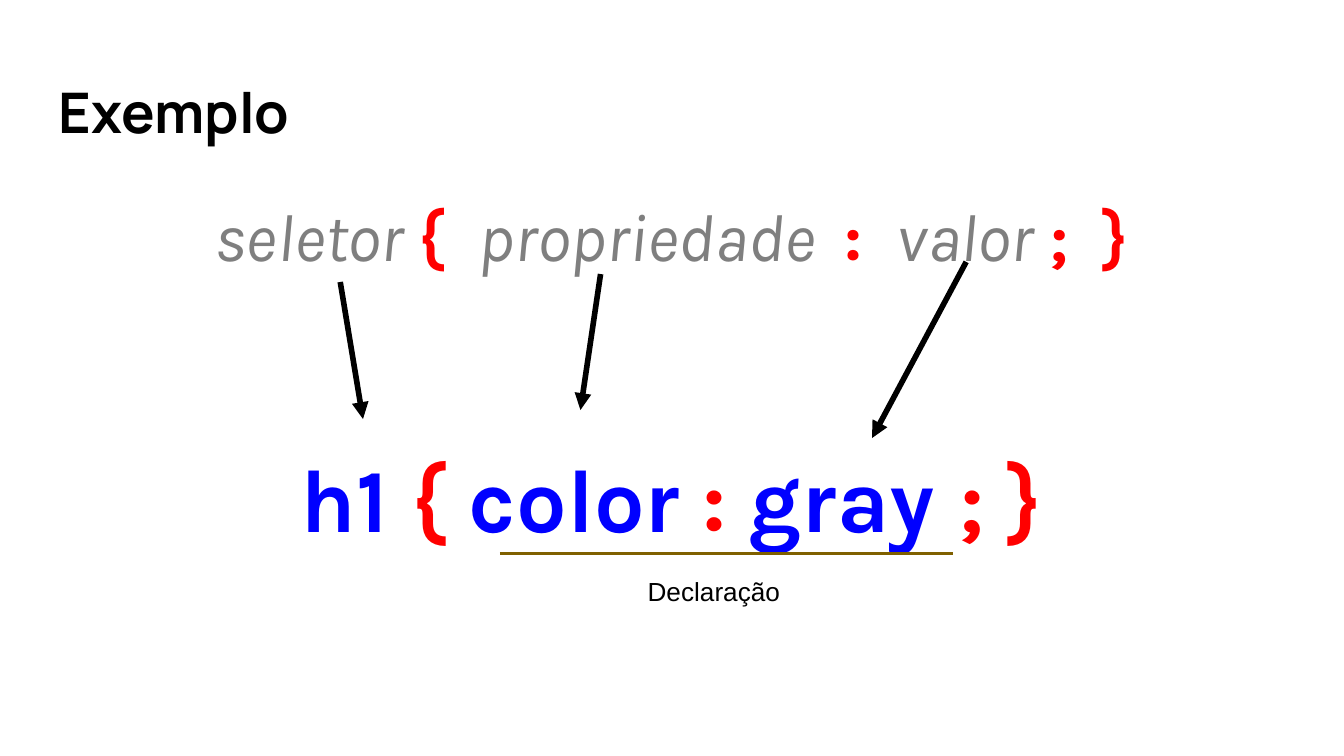
from lxml.etree import SubElement
from pptx import Presentation
from pptx.dml.color import RGBColor
from pptx.enum.shapes import MSO_CONNECTOR as Connector
from pptx.enum.text import MSO_ANCHOR as Anchor, PP_ALIGN as Align
from pptx.oxml.ns import qn
from pptx.util import Cm, Pt

COLORS = {
    "ink": "000000",
    "pattern": "7F7F7F",
    "punctuation": "FF0000",
    "code": "0000FF",
    "underline": "7F6000",
}
INSET = Cm(0.25)


def rgb(name):
    return RGBColor.from_string(COLORS[name])


def add_box(page, left, top, width, height, anchor=Anchor.TOP):
    box = page.shapes.add_textbox(Cm(left), Cm(top), Cm(width), Cm(height))
    frame = box.text_frame
    frame.word_wrap = True
    frame.vertical_anchor = anchor
    frame.margin_left = frame.margin_right = INSET
    frame.margin_top = frame.margin_bottom = INSET
    return frame


def add_span(para, text, font="Karla", size=36, color="ink", bold=False, italic=False):
    span = para.add_run()
    span.text = text
    span.font.name = font
    span.font.size = Pt(size)
    span.font.bold = bold
    span.font.italic = italic
    span.font.color.rgb = rgb(color)


def add_syntax(para, parts, word_format, size):
    para.alignment = Align.CENTER
    para.line_spacing = 1.15
    for index, text in enumerate(parts):
        if index % 2:
            add_span(para, text, size=size, color="punctuation", bold=True)
        else:
            add_span(para, text, size=size, **word_format)


def add_line(page, start, end, color="ink", width=3, arrow=False):
    ends = [Cm(value) for value in (*start, *end)]
    line = page.shapes.add_connector(Connector.STRAIGHT, *ends)
    line.line.color.rgb = rgb(color)
    line.line.width = Pt(width)
    if arrow:
        SubElement(line.line._get_or_add_ln(), qn("a:tailEnd"), type="triangle")
    SubElement(line._element.spPr, qn("a:effectLst"))


def main():
    deck = Presentation()
    deck.slide_width, deck.slide_height = Cm(25.4), Cm(14.29)
    page = deck.slides.add_slide(deck.slide_layouts[6])

    title = add_box(page, 0.86, 1.24, 23.67, 1.73, anchor=Anchor.MIDDLE)
    add_span(title.paragraphs[0], "Exemplo", font="Manrope", size=30, bold=True)

    syntax = add_box(page, 0.86, 3.2, 23.67, 9.5)
    add_syntax(
        syntax.paragraphs[0],
        ["seletor ", "{  ", "propriedade  ", ":  ", "valor ", ";  }"],
        {"color": "pattern", "italic": True},
        size=36,
    )
    example = syntax.add_paragraph()
    example.space_before = Pt(81.5)
    add_syntax(
        example,
        ["h1 ", "{", " color ", ":", " gray ", "; }"],
        {"color": "code", "bold": True},
        size=48,
    )

    arrows = [
        ((6.43, 5.33), (6.86, 7.92)),
        ((11.35, 5.18), (10.97, 7.75)),
        ((18.26, 4.95), (16.48, 8.28)),
    ]
    for start, end in arrows:
        add_line(page, start, end, arrow=True)
    add_line(page, (9.45, 10.46), (18.01, 10.46), color="underline", width=1.5)

    label = add_box(page, 11.99, 10.62, 5.64, 1.85)
    add_span(label.paragraphs[0], "Declaração", font="Arial", size=14)

    deck.save("out.pptx")


if __name__ == "__main__":
    main()
